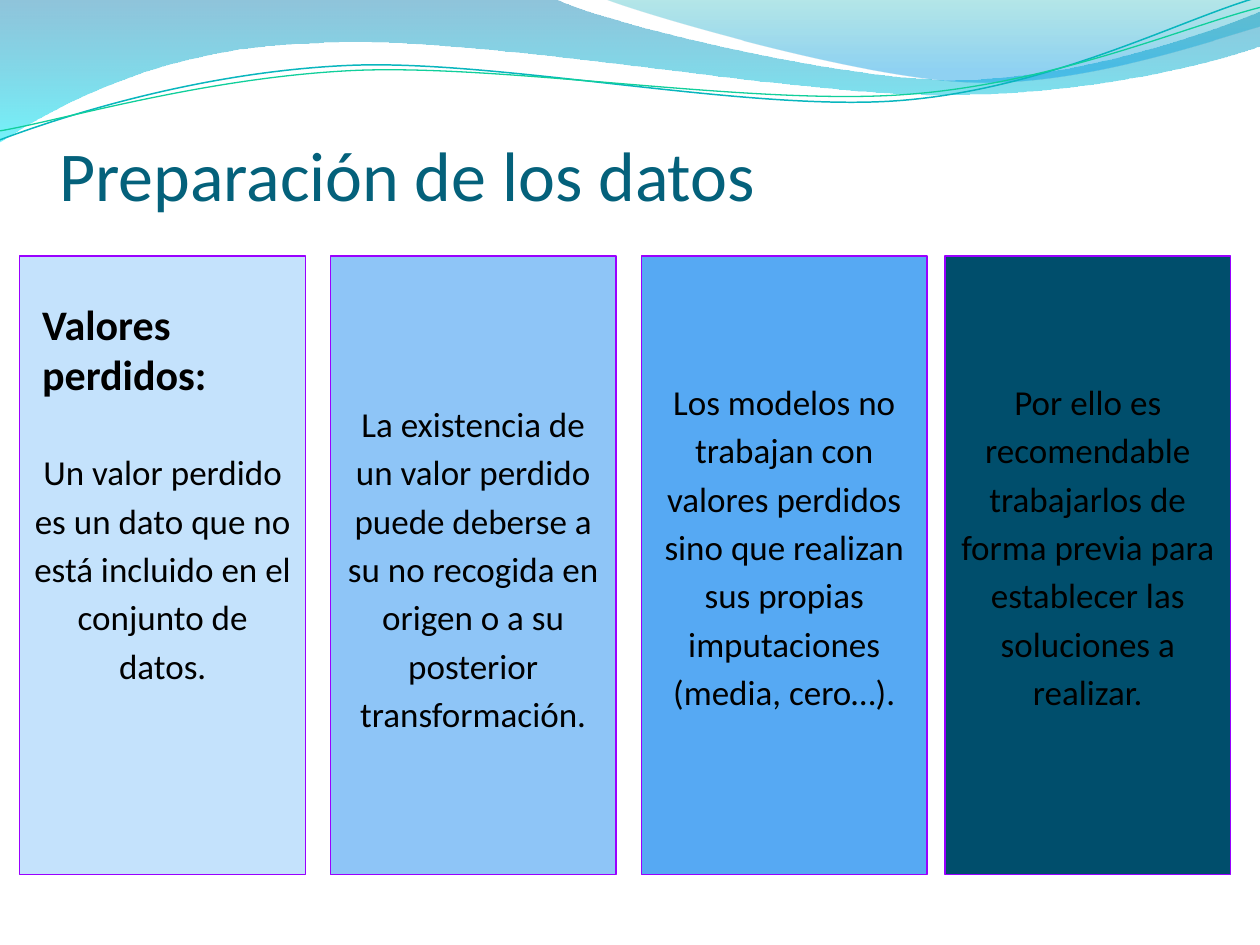
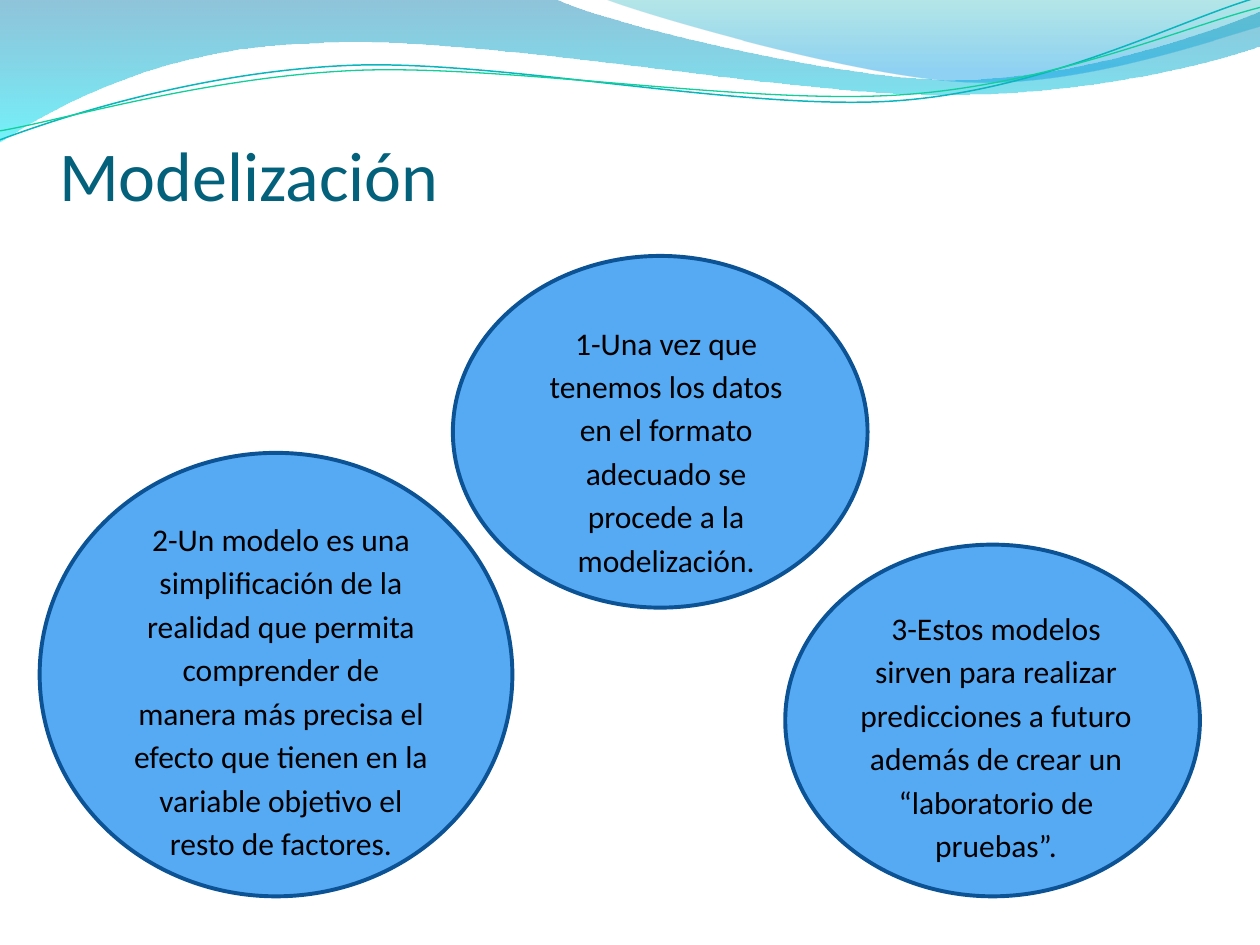
"""Build two slides on data preparation and modelling under a shared wave header."""
from dataclasses import dataclass
from math import cos, radians, sin

from lxml import etree
from pptx import Presentation, util as u
from pptx.dml.color import RGBColor as Rgb
from pptx.enum import shapes, text
from pptx.oxml.ns import qn


@dataclass(frozen=True)
class Theme:
    font: str = "Calibri"
    ink: str = "000000"
    title: str = "04617B"
    edge: str = "9900FF"
    ball: str = "56A9F3"
    rim: str = "0B5394"
    big: int = 40
    head: int = 24
    body: int = 20
    small: int = 18
    lead: float = 1.15


THEME = Theme()
PAD = 0.25
LIFT = 0.88
TILT = -2.7

BANDS = [
    ((-0.03, -0.03, 25.45, 2.9),
     [(0, 0), (11.18, -0.03), (12.09, 0.43, 16.87, 1.6, 19.25, 1.6),
      (21.67, 1.6, 24.33, 0.66, 25.4, 0.23), (25.43, 0.91),
      (24.97, 1.12, 22.1, 1.93, 18.95, 1.91), (15.8, 1.91, 9.7, 0.71, 6.53, 0.86),
      (3.28, 0.91, 1.17, 2.11, -0.03, 2.87), (0, 0)],
     [(0, "0079AD", 44), (1, "00E9F7", 55)]),
    ((12.17, -0.03, 13.23, 1.78),
     [(12.17, -0.03), (12.93, 0.28, 17.32, 1.57, 19.53, 1.65),
      (21.74, 1.75, 24.41, 0.81, 25.4, 0.53), (25.4, 0), (12.17, -0.03)],
     [(0, "00ABB4", 29), (0.8, "0099E4", 44)]),
]
LINES = [
    ((-0.05, 0.56, 25.45, 1.8),
     [(0, 2.82), (1.22, 2.36, 4.01, 1.45, 7.04, 1.32),
      (10.03, 1.19, 15.06, 2.26, 18.11, 2.03), (21.16, 1.8, 23.83, 0.38, 25.35, -0.05)],
     "09B6BE", 0.85),
    ((-0.05, 0.76, 25.48, 1.47),
     [(0, 2.64), (1.19, 2.44, 4.17, 1.55, 7.19, 1.42),
      (10.24, 1.3, 15.16, 2.13, 18.21, 1.91), (21.23, 1.7, 23.9, 0.53, 25.4, 0.15)],
     "10CF9B", 0.75),
]

CARDS = [
    (0.4, "C4E2FC", 0, "Un valor perdido es un dato que no está incluido en el conjunto de datos."),
    (19.05, "004E6C", LIFT, "Por ello es recomendable trabajarlos de forma previa para establecer las "
                            "soluciones a realizar."),
    (12.93, "56A9F3", LIFT, "Los modelos no trabajan con valores perdidos sino que realizan sus propias "
                            "imputaciones (media, cero…)."),
    (6.66, "8EC5F7", 0, "La existencia de un valor perdido puede deberse a su no recogida en origen "
                        "o a su posterior transformación."),
]
BALLS = [
    ((0.8, 9.13, 9.53, 8.94), (2.39, 10.12, 6.55, 5.94),
     "2-Un modelo es una simplificación de la realidad que permita comprender de manera más "
     "precisa el efecto que tienen en la variable objetivo el resto de factores."),
    ((15.83, 10.98, 8.36, 7.09), (17.07, 11.91, 6.02, 5.94),
     "3-Estos modelos sirven para realizar predicciones a futuro además de crear un "
     "“laboratorio de pruebas”."),
    ((9.13, 5.16, 8.36, 7.09), (10.52, 6.16, 5.82, 4.95),
     "1-Una vez que tenemos los datos en el formato adecuado se procede a la modelización."),
]


def place(box):
    return [u.Cm(n) for n in box]


def local(x, y, box, tilt):
    left, top, wide, high = box
    dx, dy = x - left - wide / 2, y - top - high / 2
    c, s = cos(radians(-tilt)), sin(radians(-tilt))
    return place((dx * c - dy * s + wide / 2, dx * s + dy * c + high / 2))


def outline(slide, box, steps, tilt=0):
    left, top, wide, high = place(box)
    pen = slide.shapes.build_freeform(left, top)
    pen.add_line_segments([(left + wide, top + high)], close=False)
    form = pen.convert_to_shape()
    form.left, form.top, form.width, form.height = left, top, wide, high
    form.rotation = tilt
    form.shadow.inherit = False
    route = next(form.element.iter(qn("a:path")))
    for node in list(route):
        route.remove(node)
    route.set("w", str(wide))
    route.set("h", str(high))
    for i, step in enumerate(steps):
        tag = "a:moveTo" if i == 0 else "a:lnTo" if len(step) == 2 else "a:cubicBezTo"
        node = etree.SubElement(route, qn(tag))
        for pair in zip(step[::2], step[1::2]):
            x, y = local(*pair, box, tilt)
            etree.SubElement(node, qn("a:pt"), x=str(x), y=str(y))
    if steps[0] == steps[-1]:
        etree.SubElement(route, qn("a:close"))
    return form


def stroke(form, tone, width):
    form.line.color.rgb = Rgb.from_string(tone)
    form.line.width = u.Pt(width)


def add_band(slide, box, steps, stops):
    form = outline(slide, box, steps)
    form.line.fill.background()
    form.fill.gradient()
    form.fill.gradient_angle = 270
    for stop, (spot, tone, _) in zip(form.fill.gradient_stops, stops):
        stop.position = spot
        stop.color.rgb = Rgb.from_string(tone)
    for node, (_, _, alpha) in zip(form.element.iter(qn("a:srgbClr")), stops):
        etree.SubElement(node, qn("a:alpha")).set("val", str(alpha * 1000))
    return form


def add_wave(slide, box, steps, tone, width):
    form = outline(slide, box, steps, TILT)
    form.fill.background()
    stroke(form, tone, width)
    return form


def add_head(prs, slide):
    forms = [add_band(slide, *band) for band in BANDS]
    forms += [add_wave(slide, *line) for line in LINES]
    for i, form in enumerate(forms):
        form.element.nvSpPr.cNvPr.set("id", str(100 + i))
        prs.slide_master.shapes.element.insert(2 + i, form.element)


def write(form, words, size, tone=THEME.ink, bold=False, lead=None,
          align=text.PP_ALIGN.LEFT, anchor=text.MSO_ANCHOR.TOP, pads=(PAD,) * 4):
    frame = form.text_frame
    frame.word_wrap = True
    frame.auto_size = text.MSO_AUTO_SIZE.NONE
    frame.vertical_anchor = anchor
    (frame.margin_left, frame.margin_top,
     frame.margin_right, frame.margin_bottom) = place(pads)
    para = frame.paragraphs[0]
    para.alignment = align
    if lead:
        para.line_spacing = lead
    run = para.add_run()
    run.text = words
    run.font.name = THEME.font
    run.font.size = u.Pt(size)
    run.font.bold = bold
    run.font.color.rgb = Rgb.from_string(tone)


def add_form(slide, kind, box, fill, edge, width):
    form = slide.shapes.add_shape(kind, *place(box))
    form.shadow.inherit = False
    form.fill.solid()
    form.fill.fore_color.rgb = Rgb.from_string(fill)
    stroke(form, edge, width)
    return form


def add_slide(prs, words):
    slide = prs.slides.add_slide(prs.slide_layouts[5])
    title = slide.shapes.title
    title.left, title.top, title.width, title.height = place((1.19, 2.39, 22.86, 1.96))
    write(title, words, THEME.big, THEME.title,
          anchor=text.MSO_ANCHOR.BOTTOM, pads=(0, 0.13, 0, 0))
    return slide


def add_cards(slide):
    for left, fill, lift, words in CARDS:
        card = add_form(slide, shapes.MSO_SHAPE.RECTANGLE, (left, 5.16, 5.76, 12.47),
                        fill, THEME.edge, 0.75)
        write(card, words, THEME.body, lead=THEME.lead, align=text.PP_ALIGN.CENTER,
              anchor=text.MSO_ANCHOR.MIDDLE, pads=(PAD, PAD, PAD, PAD + lift))
    label = slide.shapes.add_textbox(*place((0.6, 5.77, 4.95, 1.17)))
    write(label, "Valores perdidos:", THEME.head, bold=True)


def add_balls(slide):
    for ball, box, words in BALLS:
        add_form(slide, shapes.MSO_SHAPE.OVAL, ball, THEME.ball, THEME.rim, 2.25)
        note = slide.shapes.add_textbox(*place(box))
        write(note, words, THEME.small, lead=THEME.lead, align=text.PP_ALIGN.CENTER)


def main():
    prs = Presentation()
    prs.slide_width, prs.slide_height = place((25.4, 19.05))
    first = add_slide(prs, "Preparación de los datos")
    add_head(prs, first)
    add_cards(first)
    add_balls(add_slide(prs, "Modelización"))
    prs.save("out.pptx")


if __name__ == "__main__":
    main()
